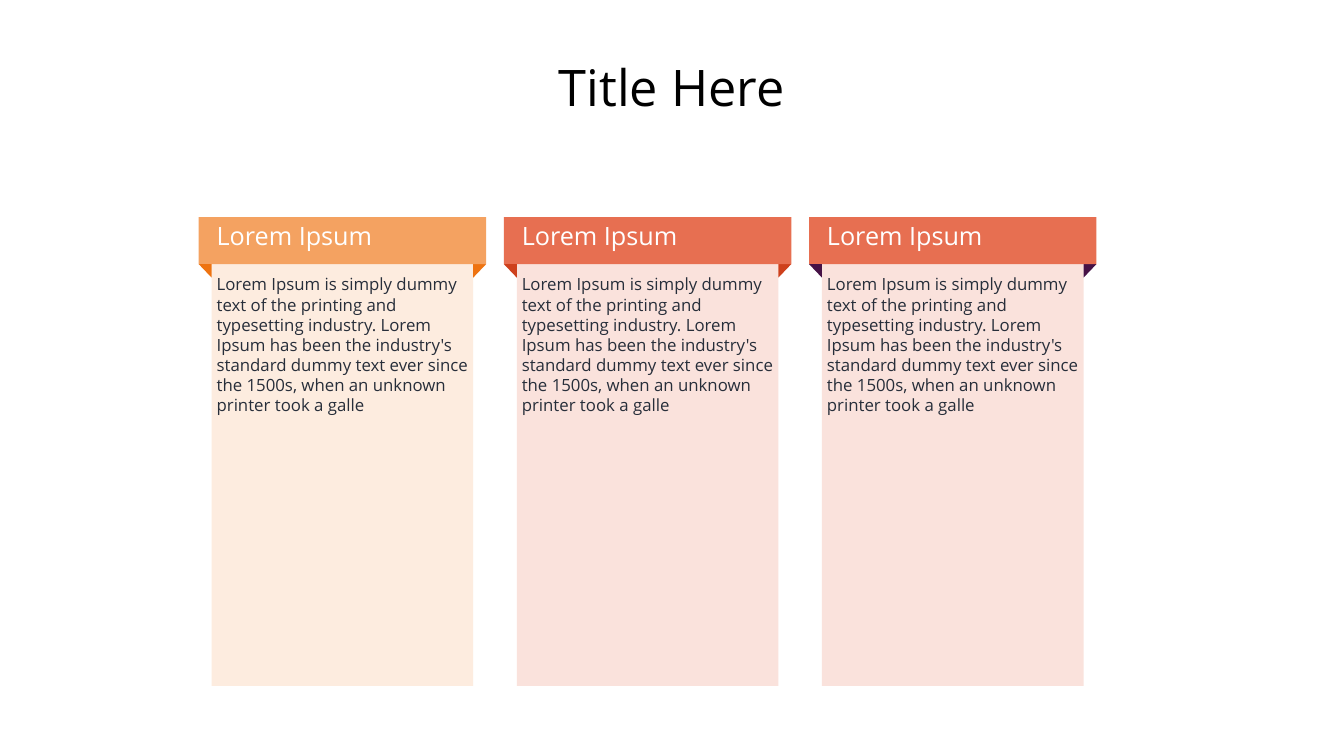
"""Build a slide with a title and three ribbon-topped text columns."""
from dataclasses import dataclass

from pptx import Presentation
from pptx.dml.color import RGBColor
from pptx.enum.shapes import MSO_SHAPE as Preset
from pptx.enum.text import MSO_ANCHOR as Anchor, MSO_AUTO_SIZE as AutoSize, PP_ALIGN as Align
from pptx.shapes.autoshape import Shape
from pptx.shapes.shapetree import GroupShapes, SlideShapes
from pptx.util import Pt

FONT = "Open Sans"
BLACK = RGBColor(0x00, 0x00, 0x00)
WHITE = RGBColor(0xFF, 0xFF, 0xFF)
SLATE = RGBColor(0x27, 0x2E, 0x3A)
SAND = RGBColor(0xF4, 0xA2, 0x61)
CORAL = RGBColor(0xE7, 0x6F, 0x51)
PALE_SAND = RGBColor(0xFD, 0xEC, 0xDF)
PALE_CORAL = RGBColor(0xFA, 0xE2, 0xDC)
ORANGE = RGBColor(0xEE, 0x73, 0x11)
RUST = RGBColor(0xCE, 0x40, 0x1C)
PLUM = RGBColor(0x46, 0x12, 0x46)

FIRST_LEFT, COLUMN_PITCH = 302.4, 436
PANEL_WIDTH, PANEL_HEIGHT = 373.7, 602.6
RIBBON_TOP, RIBBON_HEIGHT = 310.3, 67
PANEL_TOP = RIBBON_TOP + RIBBON_HEIGHT
FOLD_WIDTH, FOLD_HEIGHT = 18.5, 19.4

HEADING = "Lorem Ipsum"
BODY = (
    "Lorem Ipsum is simply dummy text of the printing and typesetting industry. "
    "Lorem Ipsum has been the industry's standard dummy text ever since the 1500s, "
    "when an unknown printer took a galle"
)


@dataclass(frozen=True)
class Box:
    left: float
    top: float
    width: float
    height: float

    def lengths(self) -> tuple[Pt, Pt, Pt, Pt]:
        return Pt(self.left), Pt(self.top), Pt(self.width), Pt(self.height)


@dataclass(frozen=True)
class Column:
    ribbon: RGBColor
    fold: RGBColor
    panel: RGBColor
    heading: str = HEADING
    body: str = BODY


COLUMNS = (
    Column(SAND, ORANGE, PALE_SAND),
    Column(CORAL, RUST, PALE_CORAL),
    Column(CORAL, PLUM, PALE_CORAL),
)


def add_filled(shapes: SlideShapes | GroupShapes, preset: Preset, box: Box, color: RGBColor) -> Shape:
    shape = shapes.add_shape(preset, *box.lengths())
    shape.shadow.inherit = False
    shape.fill.solid()
    shape.fill.fore_color.rgb = color
    shape.line.fill.background()
    return shape


def add_fold(shapes: GroupShapes, left: float, color: RGBColor, *flips: str) -> None:
    shape = add_filled(shapes, Preset.RIGHT_TRIANGLE, Box(left, PANEL_TOP, FOLD_WIDTH, FOLD_HEIGHT), color)
    for flip in flips:
        shape.element.spPr.get_or_add_xfrm().set(flip, "1")


def add_text(shapes: SlideShapes, box: Box, text: str, size: float, color: RGBColor, wrap: bool = True) -> Shape:
    shape = shapes.add_textbox(*box.lengths())
    frame = shape.text_frame
    frame.word_wrap = wrap
    frame.auto_size = AutoSize.SHAPE_TO_FIT_TEXT
    run = frame.paragraphs[0].add_run()
    run.text = text
    run.font.name = FONT
    run.font.size = Pt(size)
    run.font.color.rgb = color
    return shape


def add_title(shapes: SlideShapes, text: str) -> None:
    frame = add_text(shapes, Box(131.8, 57.6, 1656, 131), text, 72, BLACK).text_frame
    frame.auto_size = AutoSize.NONE
    frame.vertical_anchor = Anchor.MIDDLE
    frame.paragraphs[0].alignment = Align.CENTER


def add_column(shapes: SlideShapes, left: float, column: Column) -> None:
    add_filled(shapes, Preset.RECTANGLE, Box(left, PANEL_TOP, PANEL_WIDTH, PANEL_HEIGHT), column.panel)
    ribbon = shapes.add_group_shape().shapes
    ribbon_left, ribbon_width = left - FOLD_WIDTH, PANEL_WIDTH + 2 * FOLD_WIDTH
    add_fold(ribbon, left + PANEL_WIDTH, column.fold, "flipV")
    add_filled(ribbon, Preset.RECTANGLE, Box(ribbon_left, RIBBON_TOP, ribbon_width, RIBBON_HEIGHT), column.ribbon)
    add_fold(ribbon, ribbon_left, column.fold, "flipH", "flipV")
    add_text(shapes, Box(left, 311.8, 267, 51), column.heading, 36, WHITE, wrap=False)
    add_text(shapes, Box(left, 388, PANEL_WIDTH, 240), column.body, 24, SLATE)


def main() -> None:
    presentation = Presentation()
    presentation.slide_width, presentation.slide_height = Pt(1920.24), Pt(1080)
    slide = presentation.slides.add_slide(presentation.slide_layouts[6])
    add_title(slide.shapes, "Title Here")
    for index, column in enumerate(COLUMNS):
        add_column(slide.shapes, FIRST_LEFT + index * COLUMN_PITCH, column)
    presentation.save("out.pptx")


if __name__ == "__main__":
    main()
